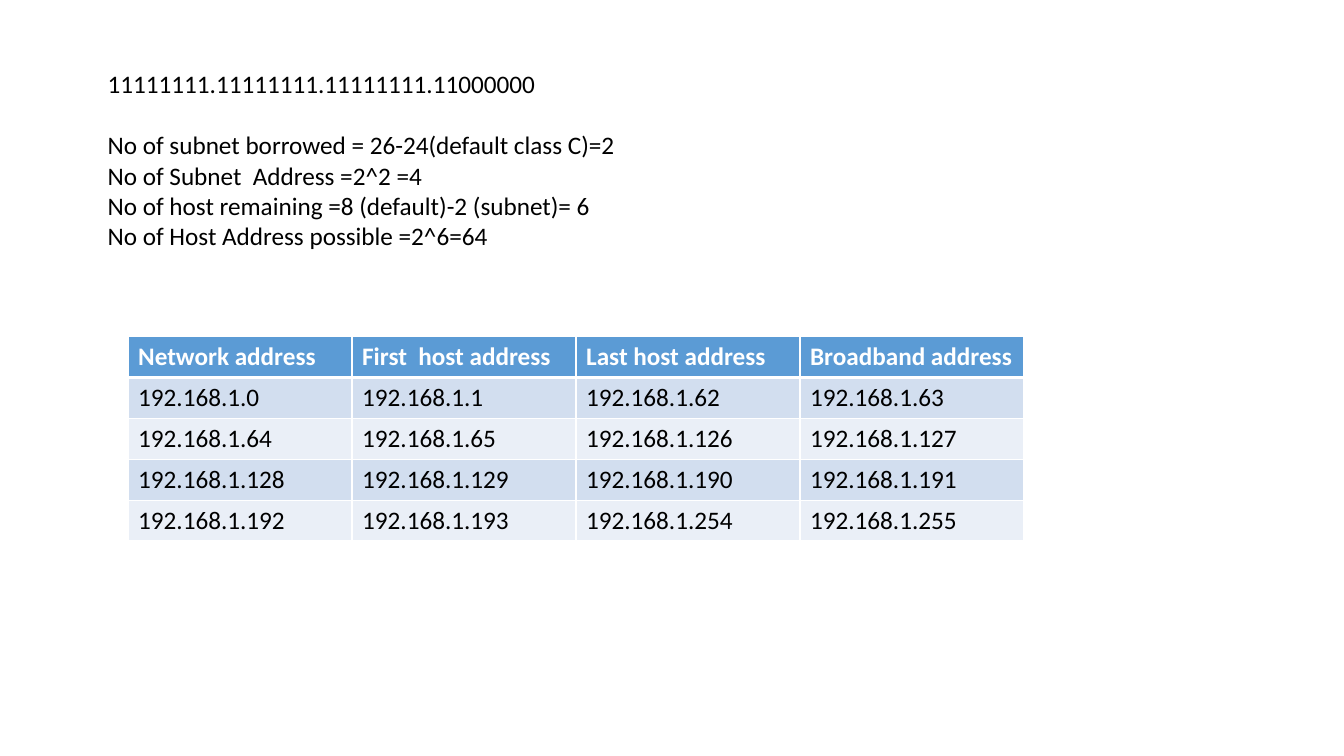
from dataclasses import dataclass

from lxml.etree import SubElement
from pptx import Presentation
from pptx.dml.color import RGBColor
from pptx.enum.text import MSO_AUTO_SIZE
from pptx.oxml.ns import qn
from pptx.slide import Slide
from pptx.table import _Cell
from pptx.text.text import TextFrame
from pptx.util import Pt


@dataclass(frozen=True)
class Theme:
    font: str = "Calibri"
    size: float = 18
    text: str = "000000"
    white: str = "FFFFFF"
    header: str = "5B9BD5"
    bands: tuple[str, str] = ("D2DEEF", "EAEFF7")
    thin_line: float = 1
    thick_line: float = 3


@dataclass(frozen=True)
class Box:
    left: float
    top: float
    width: float
    height: float

    def lengths(self) -> tuple[Pt, Pt, Pt, Pt]:
        return Pt(self.left), Pt(self.top), Pt(self.width), Pt(self.height)


@dataclass(frozen=True)
class Line:
    text: str
    space_before: float = 0


@dataclass(frozen=True)
class RowStyle:
    fill: str
    color: str
    bold: bool
    top_line: float
    bottom_line: float


THEME = Theme()
WORKING_BOX = Box(69.8, 45.4, 683.3, 159.8)
TABLE_BOX = Box(91.5, 240.5, 640, 146)
WORKING_LINES = (
    Line("11111111.11111111.11111111.11000000"),
    Line("No of subnet borrowed = 26-24(default class C)=2", space_before=22),
    Line("No of Subnet  Address =2^2 =4"),
    Line("No of host remaining =8 (default)-2 (subnet)= 6"),
    Line("No of Host Address possible =2^6=64"),
)
HEADINGS = ("Network address", "First  host address", "Last host address", "Broadband address")
SUBNET_COUNT = 4
HOSTS_PER_SUBNET = 64


def write_lines(frame: TextFrame, *lines: Line, color: str = THEME.text, bold: bool = False) -> None:
    for index, line in enumerate(lines):
        paragraph = frame.add_paragraph() if index else frame.paragraphs[0]
        paragraph.space_before = Pt(line.space_before)
        run = paragraph.add_run()
        run.text = line.text
        run.font.name = THEME.font
        run.font.size = Pt(THEME.size)
        run.font.bold = bold
        run.font.color.rgb = RGBColor.from_string(color)


def subnet_row(index: int) -> tuple[str, ...]:
    """Return the network, first host, last host and closing address of a subnet."""
    start = index * HOSTS_PER_SUBNET
    end = start + HOSTS_PER_SUBNET - 1
    return tuple(f"192.168.1.{number}" for number in (start, start + 1, end - 1, end))


def row_style(index: int) -> RowStyle:
    if index == 0:
        return RowStyle(THEME.header, THEME.white, True, THEME.thin_line, THEME.thick_line)
    top_line = THEME.thick_line if index == 1 else THEME.thin_line
    return RowStyle(THEME.bands[(index - 1) % 2], THEME.text, False, top_line, THEME.thin_line)


def set_borders(cell: _Cell, style: RowStyle) -> None:
    properties = cell._tc.get_or_add_tcPr()
    widths = {
        "a:lnL": THEME.thin_line,
        "a:lnR": THEME.thin_line,
        "a:lnT": style.top_line,
        "a:lnB": style.bottom_line,
    }
    for position, (tag, width) in enumerate(widths.items()):
        border = SubElement(properties, qn(tag), w=str(Pt(width)))
        fill = SubElement(border, qn("a:solidFill"))
        SubElement(fill, qn("a:srgbClr"), val=THEME.white)
        properties.insert(position, border)


def add_working(slide: Slide) -> None:
    frame = slide.shapes.add_textbox(*WORKING_BOX.lengths()).text_frame
    frame.word_wrap = True
    frame.auto_size = MSO_AUTO_SIZE.SHAPE_TO_FIT_TEXT
    write_lines(frame, *WORKING_LINES)


def add_address_table(slide: Slide) -> None:
    rows = [HEADINGS, *(subnet_row(index) for index in range(SUBNET_COUNT))]
    table = slide.shapes.add_table(len(rows), len(HEADINGS), *TABLE_BOX.lengths()).table
    for row_index, texts in enumerate(rows):
        style = row_style(row_index)
        for column_index, text in enumerate(texts):
            cell = table.cell(row_index, column_index)
            cell.fill.solid()
            cell.fill.fore_color.rgb = RGBColor.from_string(style.fill)
            set_borders(cell, style)
            write_lines(cell.text_frame, Line(text), color=style.color, bold=style.bold)


def main() -> None:
    presentation = Presentation()
    presentation.slide_width = Pt(960)
    presentation.slide_height = Pt(540)
    blank_layout = presentation.slide_layouts.get_by_name("Blank")
    slide = presentation.slides.add_slide(blank_layout)
    add_address_table(slide)
    add_working(slide)
    presentation.save("out.pptx")


if __name__ == "__main__":
    main()
